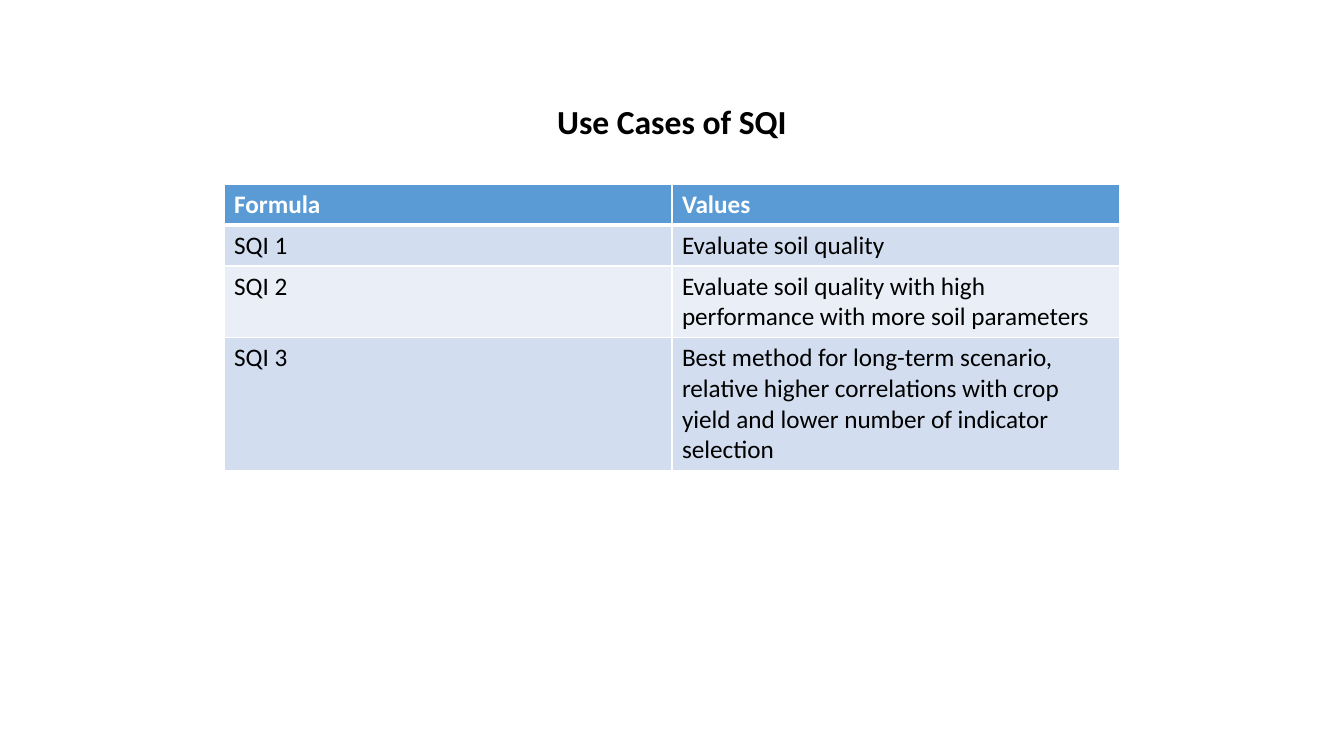
from lxml.etree import SubElement
from pptx import Presentation
from pptx.dml.color import RGBColor
from pptx.enum.text import MSO_ANCHOR, PP_ALIGN
from pptx.oxml.ns import qn
from pptx.util import Pt

TITLE = "Use Cases of SQI"
ROWS = [
    ("Formula", "Values"),
    ("SQI 1", "Evaluate soil quality"),
    ("SQI 2", "Evaluate soil quality with high performance with more soil parameters"),
    ("SQI 3", "Best method for long-term scenario, relative higher correlations "
              "with crop yield and lower number of indicator selection"),
]
ROW_HEIGHTS = [41, 41, 71, 133]
COLUMN_WIDTH = 448
TABLE_LEFT, TABLE_TOP = 224, 184
TITLE_BOX = (304, 96, 736, 50)
SLIDE_SIZE = (1344, 756)

FONT = "Calibri"
WHITE = RGBColor(0xFF, 0xFF, 0xFF)
BLACK = RGBColor(0x00, 0x00, 0x00)
HEADER_BLUE = RGBColor(0x5B, 0x9B, 0xD5)
BANDS = [RGBColor(0xEA, 0xEF, 0xF7), RGBColor(0xD2, 0xDE, 0xEF)]


def px(length):
    return round(length * 914400 / 100.8)


def set_font(paragraph, size, color, bold):
    font = paragraph.font
    font.name, font.size, font.bold = FONT, Pt(size), bold
    font.color.rgb = color


def set_borders(cell, widths):
    properties = cell._tc.get_or_add_tcPr()
    for side, width in widths.items():
        line = SubElement(properties, qn(f"a:ln{side}"), w=str(Pt(width)))
        fill = SubElement(line, qn("a:solidFill"))
        SubElement(fill, qn("a:srgbClr"), val=str(WHITE))


def add_title(slide):
    title = slide.shapes.title
    title.left, title.top, title.width, title.height = map(px, TITLE_BOX)
    frame = title.text_frame
    frame.text = TITLE
    frame.word_wrap = True
    frame.vertical_anchor = MSO_ANCHOR.TOP
    paragraph = frame.paragraphs[0]
    paragraph.alignment = PP_ALIGN.CENTER
    paragraph.line_spacing = 1.0
    set_font(paragraph, 24, BLACK, True)


def add_use_case_table(slide):
    columns = len(ROWS[0])
    table = slide.shapes.add_table(
        len(ROWS), columns, px(TABLE_LEFT), px(TABLE_TOP),
        px(columns * COLUMN_WIDTH), px(sum(ROW_HEIGHTS))).table
    for column in table.columns:
        column.width = px(COLUMN_WIDTH)
    for index, (texts, height) in enumerate(zip(ROWS, ROW_HEIGHTS)):
        table.rows[index].height = px(height)
        header = index == 0
        borders = {"L": 1, "R": 1, "T": 3 if index == 1 else 1, "B": 3 if header else 1}
        for cell, text in zip(table.rows[index].cells, texts):
            cell.text = text
            set_font(cell.text_frame.paragraphs[0], 18, WHITE if header else BLACK, header)
            set_borders(cell, borders)
            cell.fill.solid()
            cell.fill.fore_color.rgb = HEADER_BLUE if header else BANDS[index % 2]


def main():
    presentation = Presentation()
    presentation.slide_width, presentation.slide_height = map(px, SLIDE_SIZE)
    slide = presentation.slides.add_slide(presentation.slide_layouts[5])
    add_use_case_table(slide)
    add_title(slide)
    presentation.save("out.pptx")


if __name__ == "__main__":
    main()
